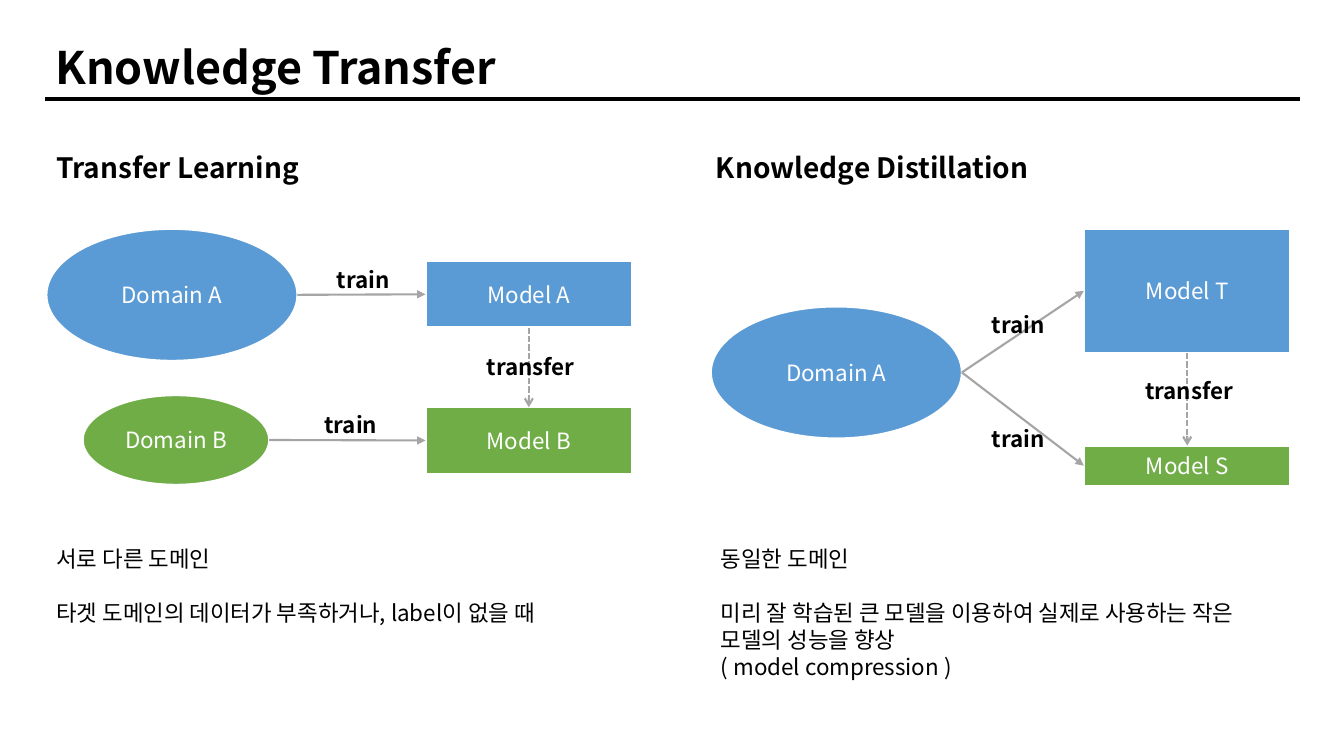
"""Build a slide comparing transfer learning and knowledge distillation."""
from lxml.etree import SubElement
from pptx import Presentation
from pptx.dml.color import RGBColor
from pptx.enum.dml import MSO_LINE
from pptx.enum.shapes import MSO_CONNECTOR, MSO_SHAPE
from pptx.enum.text import MSO_ANCHOR, MSO_AUTO_SIZE, PP_ALIGN
from pptx.oxml.ns import qn
from pptx.util import Inches, Pt

FONT = "Noto Sans CJK KR"
BLACK = RGBColor(0, 0, 0)
RULE = RGBColor(1, 0, 1)
WHITE = RGBColor(255, 255, 255)
GRAY = RGBColor(0xA5, 0xA5, 0xA5)
BLUE = RGBColor(0x5B, 0x9B, 0xD5)
GREEN = RGBColor(0x70, 0xAD, 0x47)

SIDES = [
    {
        "head": ("Transfer Learning", 0.46, 1.44, 5.68, 0.44),
        "notes": (0.46, 5.36, 5.93, 0.91),
        "lines": ["서로 다른 도메인", "타겟 도메인의 데이터가 부족하거나, label이 없을 때"],
        "domains": [("Domain A", 0.46, 2.27, 2.49, 1.31),
                    ("Domain B", 0.82, 3.92, 1.85, 0.89)],
        "models": [("Model A", 4.22, 2.59, 2.05, 0.66),
                   ("Model B", 4.22, 4.04, 2.05, 0.66)],
        "labels": [("train", 3.04, 2.59, 1.12, 0.37),
                   ("train", 2.92, 4.03, 1.12, 0.37),
                   ("transfer", 4.34, 3.45, 1.85, 0.37)],
    },
    {
        "head": ("Knowledge Distillation", 7, 1.44, 5.68, 0.44),
        "notes": (7.05, 5.36, 5.84, 1.45),
        "lines": ["동일한 도메인",
                  "미리 잘 학습된 큰 모델을 이용하여 실제로 사용하는 작은 모델의 성능을 향상",
                  "( model compression )"],
        "domains": [("Domain A", 7.05, 3.04, 2.49, 1.31)],
        "models": [("Model T", 10.75, 2.27, 2.05, 1.23),
                   ("Model S", 10.75, 4.42, 2.05, 0.4)],
        "labels": [("train", 9.54, 3.04, 1.12, 0.37),
                   ("train", 9.54, 4.17, 1.12, 0.37),
                   ("transfer", 10.87, 3.69, 1.85, 0.37)],
    },
]


def write(shape, lines, size, color=BLACK, bold=False, align=PP_ALIGN.LEFT,
          anchor=MSO_ANCHOR.TOP):
    frame = shape.text_frame
    frame.word_wrap = True
    frame.auto_size = MSO_AUTO_SIZE.NONE
    frame.vertical_anchor = anchor
    for i, line in enumerate(lines):
        para = frame.paragraphs[0] if i == 0 else frame.add_paragraph()
        para.alignment = align
        para.space_before = Pt(19.2 if i == 1 else 0)
        props = para._p.get_or_add_pPr()
        props.set("marL", "0")
        props.set("indent", "0")
        SubElement(props, qn("a:buNone"))
        run = para.add_run()
        run.text = line
        run.font.name = FONT
        run.font.size = Pt(size)
        run.font.bold = bold
        run.font.color.rgb = color
        SubElement(run._r.rPr, qn("a:ea"), typeface=FONT)


def link(shapes, start, end, color=GRAY, width=1.5, tip=None):
    line = shapes.add_connector(MSO_CONNECTOR.STRAIGHT, *start, *end)
    line.line.color.rgb = color
    line.line.width = Pt(width)
    if tip == "arrow":
        line.line.dash_style = MSO_LINE.SQUARE_DOT
    if tip:
        SubElement(line.line._get_or_add_ln(), qn("a:tailEnd"), type=tip)
    SubElement(line._element.spPr, qn("a:effectLst"))
    return line


deck = Presentation()
deck.slide_width, deck.slide_height = Inches(13.33), Inches(7.5)
slide = deck.slides.add_slide(deck.slide_layouts.get_by_name("Comparison"))
title, *slots = slide.placeholders

title.left, title.top, title.width, title.height = map(Inches, (0.45, 0.02, 11.99, 0.96))
write(title, ["Knowledge Transfer"], 32, bold=True, anchor=MSO_ANCHOR.BOTTOM)
title.text_frame.paragraphs[0].line_spacing = 0.9
link(slide.shapes, (Inches(0.45), Inches(0.98)), (Inches(12.89), Inches(0.98)), RULE, 3)

for side, head, notes in zip(SIDES, slots[::2], slots[1::2]):
    text, *place = side["head"]
    head.left, head.top, head.width, head.height = map(Inches, place)
    write(head, [text], 20, bold=True)
    notes.left, notes.top, notes.width, notes.height = map(Inches, side["notes"])
    write(notes, side["lines"], 16)

    group = slide.shapes.add_group_shape().shapes
    nodes = {"domains": [], "models": []}
    for kind, form in (("domains", MSO_SHAPE.OVAL), ("models", MSO_SHAPE.RECTANGLE)):
        for (text, *place), fill in zip(side[kind], (BLUE, GREEN)):
            node = group.add_shape(form, *map(Inches, place))
            node.shadow.inherit = False
            node.fill.solid()
            node.fill.fore_color.rgb = fill
            node.line.color.rgb = WHITE
            node.line.width = Pt(1.5)
            write(node, [text], 16, WHITE, align=PP_ALIGN.CENTER, anchor=MSO_ANCHOR.MIDDLE)
            nodes[kind].append(node)

    for i, model in enumerate(nodes["models"]):
        domain = nodes["domains"][min(i, len(nodes["domains"]) - 1)]
        start = domain.left + domain.width, domain.top + domain.height // 2
        end = model.left, model.top + model.height // 2
        link(group, start, end, tip="triangle").end_connect(model, 1)

    upper, lower = nodes["models"]
    mid = upper.left + upper.width // 2
    arrow = link(group, (mid, upper.top + upper.height), (mid, lower.top), tip="arrow")
    arrow.begin_connect(upper, 2)
    arrow.end_connect(lower, 0)

    for text, *place in side["labels"]:
        label = group.add_textbox(*map(Inches, place))
        write(label, [text], 16, bold=True, align=PP_ALIGN.CENTER)

deck.save("out.pptx")
